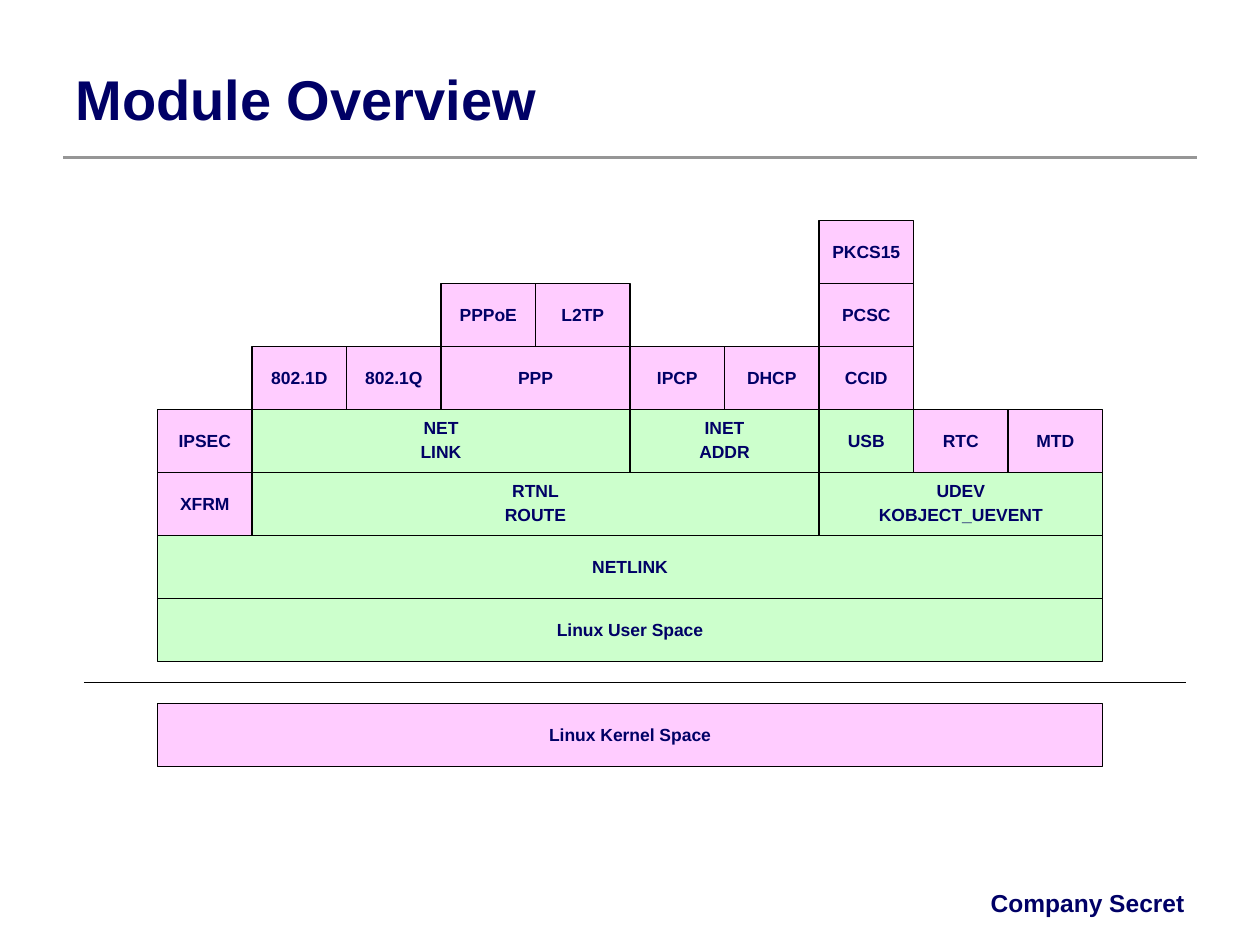
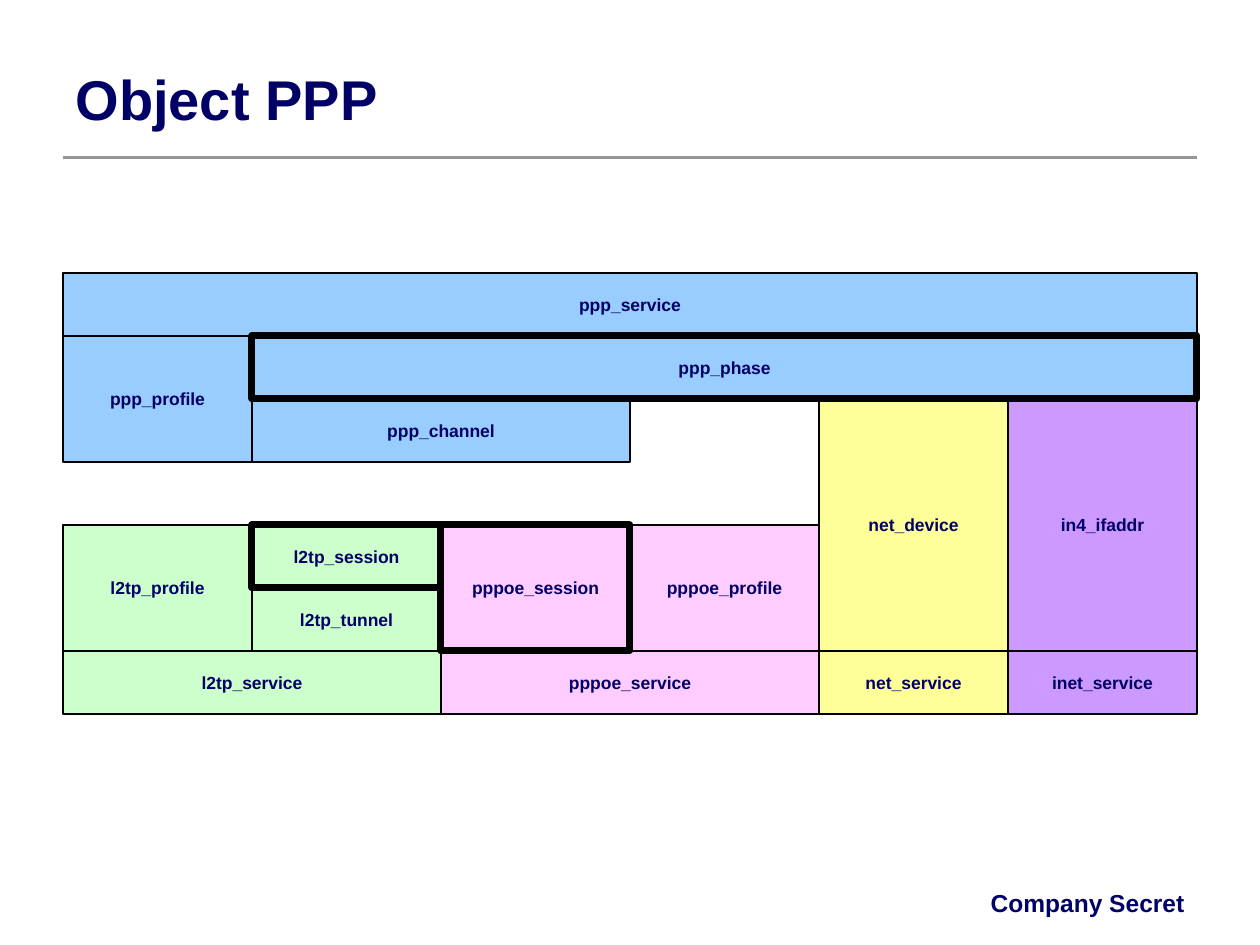
from dataclasses import dataclass

from lxml import etree
from pptx import Presentation
from pptx.dml.color import RGBColor
from pptx.enum import shapes, text
from pptx.oxml import ns
from pptx.util import Pt


@dataclass(frozen=True)
class Theme:
    font: str = "Arial"
    ink: str = "000066"
    rule: str = "969696"
    black: str = "000000"
    green: str = "CCFFCC"
    pink: str = "FFCCFF"
    blue: str = "99CCFF"
    yellow: str = "FFFF99"
    violet: str = "CC99FF"
    title_size: int = 32
    footer_size: int = 14
    block_size: int = 10
    thin: float = 0.75
    rule_width: float = 2.25
    thick: float = 4


T = Theme()
FOOTER = "Company Secret"


def write(sp, lines, size, align, anchor, wrap=True):
    """Fill a shape with one styled paragraph per line."""
    tf = sp.text_frame
    frame = {"word_wrap": wrap, "auto_size": text.MSO_AUTO_SIZE.NONE,
             "vertical_anchor": anchor}
    for name, value in frame.items():
        setattr(tf, name, value)
    tf.text = lines
    for i, p in enumerate(tf.paragraphs):
        p.alignment = align
        if i:
            p.space_before = Pt(2.5)
        if len(tf.paragraphs) > 1:
            p.line_spacing = 0.9
        font = {"name": T.font, "size": Pt(size), "bold": True}
        for name, value in font.items():
            setattr(p.font, name, value)
        p.font.color.rgb = RGBColor.from_string(T.ink)


def add_rule(s, x1, x2, y, color, width):
    """Draw a horizontal line without a shadow."""
    line = s.shapes.add_connector(shapes.MSO_CONNECTOR.STRAIGHT,
                                  Pt(x1), Pt(y), Pt(x2), Pt(y))
    line.line.color.rgb = RGBColor.from_string(color)
    line.line.width = Pt(width)
    etree.SubElement(line._element.spPr, ns.qn("a:effectLst"))


# Blocks: label, column, row, columns wide, rows high, fill, outline width
module_blocks = [
    ("PKCS15", 7, 0, 1, 1, T.pink, T.thin),
    ("PPPoE", 3, 1, 1, 1, T.pink, T.thin),
    ("L2TP", 4, 1, 1, 1, T.pink, T.thin),
    ("PCSC", 7, 1, 1, 1, T.pink, T.thin),
    ("802.1D", 1, 2, 1, 1, T.pink, T.thin),
    ("802.1Q", 2, 2, 1, 1, T.pink, T.thin),
    ("PPP", 3, 2, 2, 1, T.pink, T.thin),
    ("IPCP", 5, 2, 1, 1, T.pink, T.thin),
    ("DHCP", 6, 2, 1, 1, T.pink, T.thin),
    ("CCID", 7, 2, 1, 1, T.pink, T.thin),
    ("IPSEC", 0, 3, 1, 1, T.pink, T.thin),
    ("NET\nLINK", 1, 3, 4, 1, T.green, T.thin),
    ("INET\nADDR", 5, 3, 2, 1, T.green, T.thin),
    ("USB", 7, 3, 1, 1, T.green, T.thin),
    ("RTC", 8, 3, 1, 1, T.pink, T.thin),
    ("MTD", 9, 3, 1, 1, T.pink, T.thin),
    ("XFRM", 0, 4, 1, 1, T.pink, T.thin),
    ("RTNL\nROUTE", 1, 4, 6, 1, T.green, T.thin),
    ("UDEV\nKOBJECT_UEVENT", 7, 4, 3, 1, T.green, T.thin),
    ("NETLINK", 0, 5, 10, 1, T.green, T.thin),
    ("Linux User Space", 0, 6, 10, 1, T.green, T.thin),
    ("Linux Kernel Space", 0, 7 + 2 / 3, 10, 1, T.pink, T.thin),
]

# Thick frames come last so that they lie over their neighbours
ppp_blocks = [
    ("ppp_service", 0, 0, 6, 1, T.blue, T.thin),
    ("ppp_profile", 0, 1, 1, 2, T.blue, T.thin),
    ("ppp_channel", 1, 2, 2, 1, T.blue, T.thin),
    ("net_device", 4, 2, 1, 4, T.yellow, T.thin),
    ("in4_ifaddr", 5, 2, 1, 4, T.violet, T.thin),
    ("l2tp_profile", 0, 4, 1, 2, T.green, T.thin),
    ("l2tp_tunnel", 1, 5, 1, 1, T.green, T.thin),
    ("pppoe_profile", 3, 4, 1, 2, T.pink, T.thin),
    ("l2tp_service", 0, 6, 2, 1, T.green, T.thin),
    ("pppoe_service", 2, 6, 2, 1, T.pink, T.thin),
    ("net_service", 4, 6, 1, 1, T.yellow, T.thin),
    ("inet_service", 5, 6, 1, 1, T.violet, T.thin),
    ("l2tp_session", 1, 4, 1, 1, T.green, T.thick),
    ("pppoe_session", 2, 4, 1, 2, T.pink, T.thick),
    ("ppp_phase", 1, 1, 5, 1, T.blue, T.thick),
]

# Slides: title, grid left, grid top, column width, blocks
ROW = 36
slides = [
    ("Module Overview", 90, 126, 54, module_blocks),
    ("Object PPP", 36, 156, 108, ppp_blocks),
]

prs = Presentation()
prs.slide_width, prs.slide_height = Pt(720), Pt(540)

for title, left, top, col_width, blocks in slides:
    s = prs.slides.add_slide(prs.slide_layouts.get_by_name("Title Only"))
    add_rule(s, 36, 684, 90, T.rule, T.rule_width)

    sp = s.shapes.title
    box = {"left": 36, "top": 21.6, "width": 648, "height": 68.4}
    for name, value in box.items():
        setattr(sp, name, Pt(value))
    write(sp, title, T.title_size, text.PP_ALIGN.LEFT, text.MSO_ANCHOR.MIDDLE)

    sp = s.shapes.add_textbox(Pt(456), Pt(504), Pt(228), Pt(24))
    write(sp, FOOTER, T.footer_size, text.PP_ALIGN.RIGHT, text.MSO_ANCHOR.TOP)

    for label, col, row, cols, rows, fill, outline in blocks:
        sp = s.shapes.add_shape(
            shapes.MSO_SHAPE.RECTANGLE,
            Pt(left + col * col_width), Pt(top + row * ROW),
            Pt(cols * col_width), Pt(rows * ROW))
        sp.shadow.inherit = False
        sp.fill.solid()
        sp.fill.fore_color.rgb = RGBColor.from_string(fill)
        sp.line.color.rgb = RGBColor.from_string(T.black)
        sp.line.width = Pt(outline)
        write(sp, label, T.block_size, text.PP_ALIGN.CENTER,
              text.MSO_ANCHOR.MIDDLE, wrap=False)

# Border between user space and kernel space
add_rule(prs.slides[0], 48, 678, 390, T.black, T.thin)

prs.save("out.pptx")
